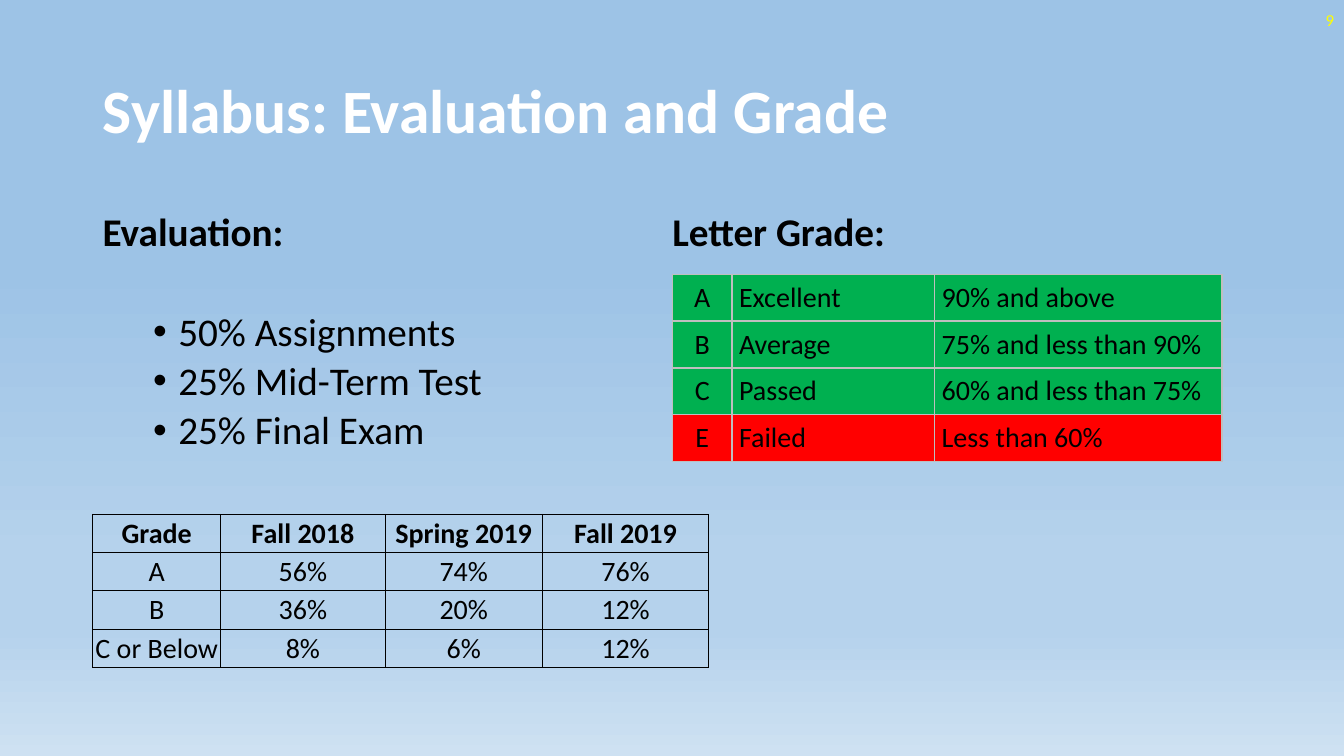
from dataclasses import dataclass

from lxml.etree import SubElement
from pptx import Presentation
from pptx.dml.color import RGBColor
from pptx.enum.text import MSO_ANCHOR as Anchor, MSO_AUTO_SIZE as AutoSize, PP_ALIGN as Align
from pptx.oxml.ns import qn
from pptx.util import Inches, Pt


@dataclass(frozen=True)
class Theme:
    """Colours, font and type sizes of the slide."""
    font: str = "Calibri"
    white: str = "FFFFFF"
    black: str = "000000"
    yellow: str = "FFFF00"
    green: str = "00B050"
    red: str = "FF0000"
    grey: str = "BFBFBF"
    sky: tuple = ((35, "9DC3E6"), (74, "B5D2EC"), (83, "B5D2EC"), (100, "CEE1F2"))
    title: int = 44
    body: int = 28
    cell: int = 20
    number: int = 12


THEME = Theme()
EVALUATION = ["50% Assignments", "25% Mid-Term Test", "25% Final Exam"]
LETTER_GRADES = [
    ["A", "Excellent", "90% and above"],
    ["B", "Average", "75% and less than 90%"],
    ["C", "Passed", "60% and less than 75%"],
    ["E", "Failed", "Less than 60%"],
]
PAST_RESULTS = [
    ["Grade", "Fall 2018", "Spring 2019", "Fall 2019"],
    ["A", "56%", "74%", "76%"],
    ["B", "36%", "20%", "12%"],
    ["C or Below", "8%", "6%", "12%"],
]


def paint_background(page):
    """Fill the page with the vertical sky gradient."""
    fill = page.background.fill
    fill.gradient()
    fill.gradient_angle = 270
    stops = page.element.find(".//" + qn("a:gsLst"))
    for stop in list(stops):
        stops.remove(stop)
    for percent, colour in THEME.sky:
        stop = SubElement(stops, qn("a:gs"), pos=str(percent * 1000))
        SubElement(stop, qn("a:srgbClr"), val=colour)


def add_span(para, text, size, colour=THEME.black, bold=False):
    """Add one formatted run to a paragraph."""
    span = para.add_run()
    span.text = text
    span.font.name = THEME.font
    span.font.size = Pt(size)
    span.font.bold = bold
    span.font.color.rgb = RGBColor.from_string(colour)


def set_title(page, text):
    """Place the title placeholder and write its text."""
    title = page.shapes.title
    title.left, title.top = Inches(0.92), Inches(0.4)
    title.width, title.height = Inches(11.5), Inches(1.45)
    frame = title.text_frame
    frame.auto_size = AutoSize.NONE
    frame.vertical_anchor = Anchor.MIDDLE
    para = frame.paragraphs[0]
    para.alignment = Align.LEFT
    para.line_spacing = 0.9
    add_span(para, text, THEME.title, THEME.white, True)


def add_box(page, left, top, width, height, anchor=Anchor.TOP):
    """Add an empty wrapping text box and return its frame."""
    box = page.shapes.add_textbox(Inches(left), Inches(top), Inches(width), Inches(height))
    frame = box.text_frame
    frame.word_wrap = True
    frame.vertical_anchor = anchor
    return frame


def add_section(page, left, width, height, heading, items=()):
    """Add a bold heading, with bulleted items below it."""
    frame = add_box(page, left, 2.06, width, height)
    para = frame.paragraphs[0]
    para.line_spacing = 0.9
    add_span(para, heading, THEME.body, bold=True)
    for index, item in enumerate(items):
        para = frame.add_paragraph()
        para.line_spacing = 0.9
        para.space_before = Pt(5 if index else 41)
        props = para._p.get_or_add_pPr()
        props.set("marL", str(Inches(0.75)))
        props.set("indent", str(Inches(-0.25)))
        SubElement(props, qn("a:buFont"), typeface="Arial")
        SubElement(props, qn("a:buChar"), char="•")
        add_span(para, item, THEME.body)


def add_number(page, text):
    """Write the page number in the top right corner."""
    para = add_box(page, 10.33, 0, 3, 0.4, Anchor.MIDDLE).paragraphs[0]
    para.alignment = Align.RIGHT
    add_span(para, text, THEME.number, THEME.yellow)


def set_borders(cell, colour, width):
    """Draw the four borders of a cell."""
    props = cell._tc.get_or_add_tcPr()
    for side in ("lnL", "lnR", "lnT", "lnB"):
        line = SubElement(props, qn("a:" + side), w=str(Pt(width)))
        fill = SubElement(line, qn("a:solidFill"))
        SubElement(fill, qn("a:srgbClr"), val=colour)


def add_grid(page, left, top, widths, row_height, rows, border, margins,
             row_fills=None, centred=1, header=False):
    """Add a bordered table whose first columns are centred."""
    shape = page.shapes.add_table(
        len(rows), len(widths), Inches(left), Inches(top),
        Inches(sum(widths)), Inches(row_height * len(rows)))
    table = shape.table
    table.first_row = header
    table.horz_banding = False
    for column, width in zip(table.columns, widths):
        column.width = Inches(width)
    for r, texts in enumerate(rows):
        table.rows[r].height = Inches(row_height)
        for c, text in enumerate(texts):
            cell = table.cell(r, c)
            cell.vertical_anchor = Anchor.MIDDLE
            side, upper = margins
            cell.margin_left = cell.margin_right = Inches(side)
            cell.margin_top, cell.margin_bottom = Inches(upper), 0
            set_borders(cell, *border)
            if row_fills:
                cell.fill.solid()
                cell.fill.fore_color.rgb = RGBColor.from_string(row_fills[r])
            else:
                cell.fill.background()
            para = cell.text_frame.paragraphs[0]
            para.alignment = Align.CENTER if c < centred else Align.LEFT
            add_span(para, text, THEME.cell, bold=header and r == 0)


def main():
    """Build the slide and save the deck."""
    deck = Presentation()
    deck.slide_width, deck.slide_height = Inches(13.33), Inches(7.5)
    page = deck.slides.add_slide(deck.slide_layouts[5])
    paint_background(page)
    set_title(page, "Syllabus: Evaluation and Grade")
    add_section(page, 0.92, 5.5, 2.5, "Evaluation:", EVALUATION)
    add_section(page, 6.57, 5.5, 0.55, "Letter Grade:")
    add_number(page, "9")
    add_grid(page, 6.67, 2.72, [0.59, 2.01, 2.85], 0.465, LETTER_GRADES,
             (THEME.grey, 1), (0.07, 0), [THEME.green] * 3 + [THEME.red])
    add_grid(page, 0.92, 5.1, [1.27, 1.63, 1.56, 1.65], 0.38, PAST_RESULTS,
             (THEME.black, 0.5), (0.01, 0.01), centred=4, header=True)
    deck.save("out.pptx")


if __name__ == "__main__":
    main()
